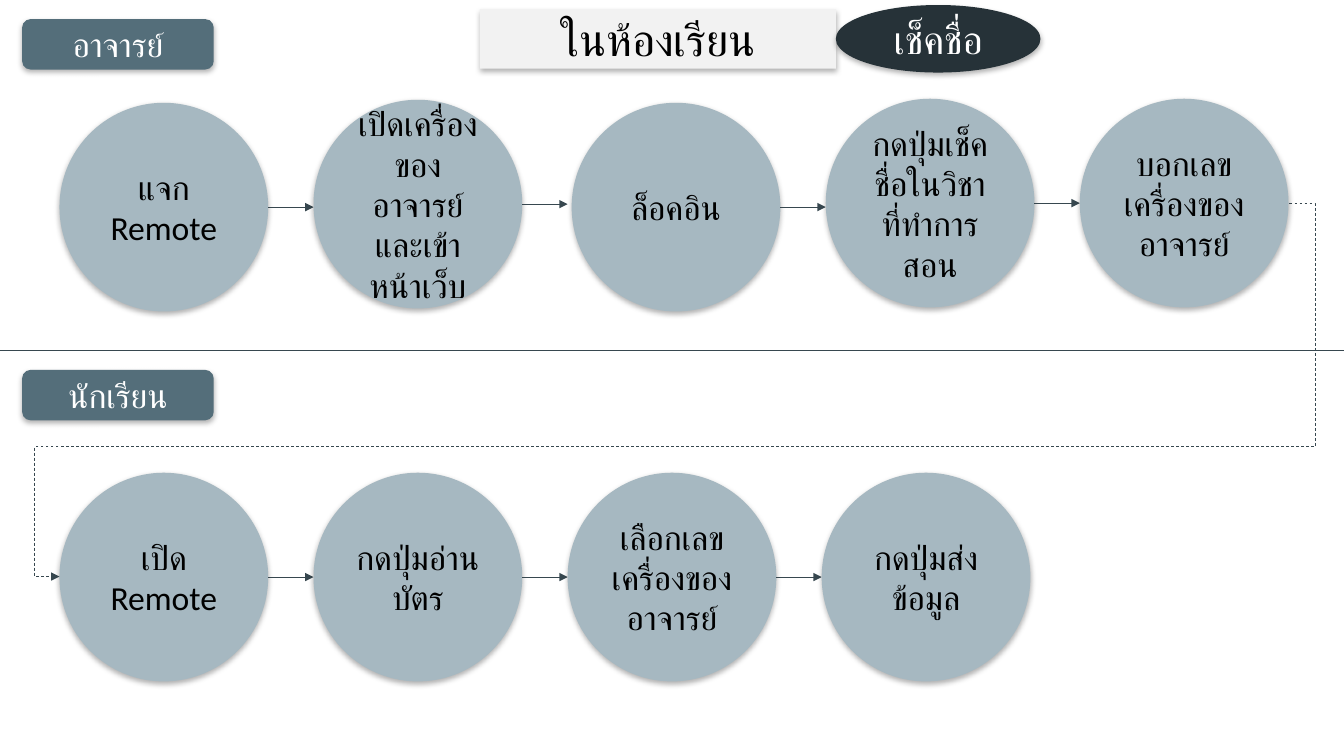
from lxml.etree import SubElement
from pptx import Presentation
from pptx.dml.color import RGBColor
from pptx.enum.dml import MSO_LINE
from pptx.enum.shapes import MSO_CONNECTOR as CONN, MSO_SHAPE as SHAPE
from pptx.enum.text import MSO_ANCHOR, MSO_AUTO_SIZE, PP_ALIGN
from pptx.oxml.ns import qn
from pptx.util import Inches, Pt

INK, SLATE, MIST, NIGHT, PAPER = "37474F", "546E7A", "A6B8C1", "263238", "F2F2F2"
BLACK, WHITE = "000000", "FFFFFF"
DIAMETER, STEP = 2.07, 2.52

TEACHER_STEPS = [
    ("แจก Remote", 0, 0.04),
    ("เปิดเครื่องของอาจารย์และเข้าหน้าเว็บ", 0, 0.01),
    ("ล็อคอิน", 0.04, 0.04),
    ("กดปุ่มเช็คชื่อในวิชาที่ทำการสอน", 0.04, 0),
    ("บอกเลขเครื่องของอาจารย์", 0.04, 0),
]
STUDENT_STEPS = [
    ("เปิด\nRemote", 0, 0),
    ("กดปุ่มอ่านบัตร", 0, 0),
    ("เลือกเลขเครื่องของอาจารย์", 0, 0),
    ("กดปุ่มส่งข้อมูล", 0, 0),
]


def rgb(color):
    """Turn a hex string into a colour."""
    return RGBColor.from_string(color)


def style(sp, text, fill, color, size):
    """Give a shape its fill, soft shadow and centred text."""
    sp.fill.solid()
    sp.fill.fore_color.rgb = rgb(fill)
    sp.line.fill.background()
    sp.shadow.inherit = False
    effects = sp._element.spPr.find(qn("a:effectLst"))
    shadow = SubElement(effects, qn("a:outerShdw"), blurRad=str(Pt(4)),
                        dist=str(Pt(2)), dir="5400000", algn="t", rotWithShape="0")
    shade = SubElement(shadow, qn("a:srgbClr"), val=BLACK)
    SubElement(shade, qn("a:alpha"), val="30000")
    tf = sp.text_frame
    tf.text = text
    frame = {"word_wrap": True, "auto_size": MSO_AUTO_SIZE.NONE,
             "vertical_anchor": MSO_ANCHOR.MIDDLE}
    for name, value in frame.items():
        setattr(tf, name, value)
    for p in tf.paragraphs:
        p.alignment = PP_ALIGN.CENTER
        for r in p.runs:
            for name, value in {"name": "Calibri", "size": Pt(size)}.items():
                setattr(r.font, name, value)
            r.font.color.rgb = rgb(color)


def add_block(s, kind, box, text, fill, color, size=24):
    """Add a filled preset shape with text in the given box."""
    sp = s.shapes.add_shape(kind, *map(Inches, box))
    style(sp, text, fill, color, size)


def add_line(s, start, end, kind=CONN.STRAIGHT, arrow=True, dash=None):
    """Add a thin connector, with an arrowhead if wanted."""
    sp = s.shapes.add_connector(kind, *map(Inches, start + end))
    sp.line.color.rgb = rgb(INK)
    sp.line.width = Pt(0.5)
    if dash:
        sp.line.dash_style = dash
    if arrow:
        SubElement(sp.line._get_or_add_ln(), qn("a:tailEnd"), type="triangle")
    SubElement(sp._element.spPr, qn("a:effectLst"))
    return sp


def add_header(s, left, top):
    """Place the slide title and the topic oval beside it."""
    title = s.shapes.title
    box = {"left": left, "top": top + 0.04, "width": 3.53, "height": 0.59}
    for name, value in box.items():
        setattr(title, name, Inches(value))
    style(title, "ในห้องเรียน", PAPER, BLACK, 32)
    add_block(s, SHAPE.OVAL, (left + 3.53, top, 2.03, 0.67), "เช็คชื่อ",
              NIGHT, WHITE, 28)


def add_lane(s, top, label, steps, steps_top, left=0.22):
    """Place a role label and its row of circles joined by arrows."""
    add_block(s, SHAPE.ROUNDED_RECTANGLE, (left, top, 1.9, 0.5), label, SLATE, WHITE)
    for i, (text, dx, dy) in enumerate(steps):
        x, y = left + 0.37 + i * STEP + dx, top + steps_top + dy
        add_block(s, SHAPE.OVAL, (x, y, DIAMETER, DIAMETER), text, MIST, BLACK)
        if i < len(steps) - 1:
            middle = y + DIAMETER / 2
            add_line(s, (x + DIAMETER, middle), (x + STEP, middle))


def add_handover(s, start, end):
    """Lead a dashed elbow arrow from the teacher lane to the student lane."""
    sp = add_line(s, start, end, CONN.ELBOW, dash=MSO_LINE.DASH)
    geom = sp._element.spPr.find(qn("a:prstGeom"))
    geom.set("prst", "bentConnector5")
    guides = geom.find(qn("a:avLst"))
    for i, value in enumerate((-2100, 65100, 102000), 1):
        SubElement(guides, qn("a:gd"), name=f"adj{i}", fmla=f"val {value}")


def main():
    """Build the classroom attendance slide."""
    prs = Presentation()
    prs.slide_width, prs.slide_height = Inches(13.33), Inches(7.5)
    s = prs.slides.add_slide(prs.slide_layouts[5])
    add_header(s, 4.76, 0.05)
    add_line(s, (0, 3.48), (13.33, 3.48), arrow=False)
    add_lane(s, 0.19, "อาจารย์", TEACHER_STEPS, 0.79)
    add_lane(s, 3.67, "นักเรียน", STUDENT_STEPS, 1.02)
    add_handover(s, (12.79, 2.02), (0.59, 5.72))
    prs.save("out.pptx")


if __name__ == "__main__":
    main()
